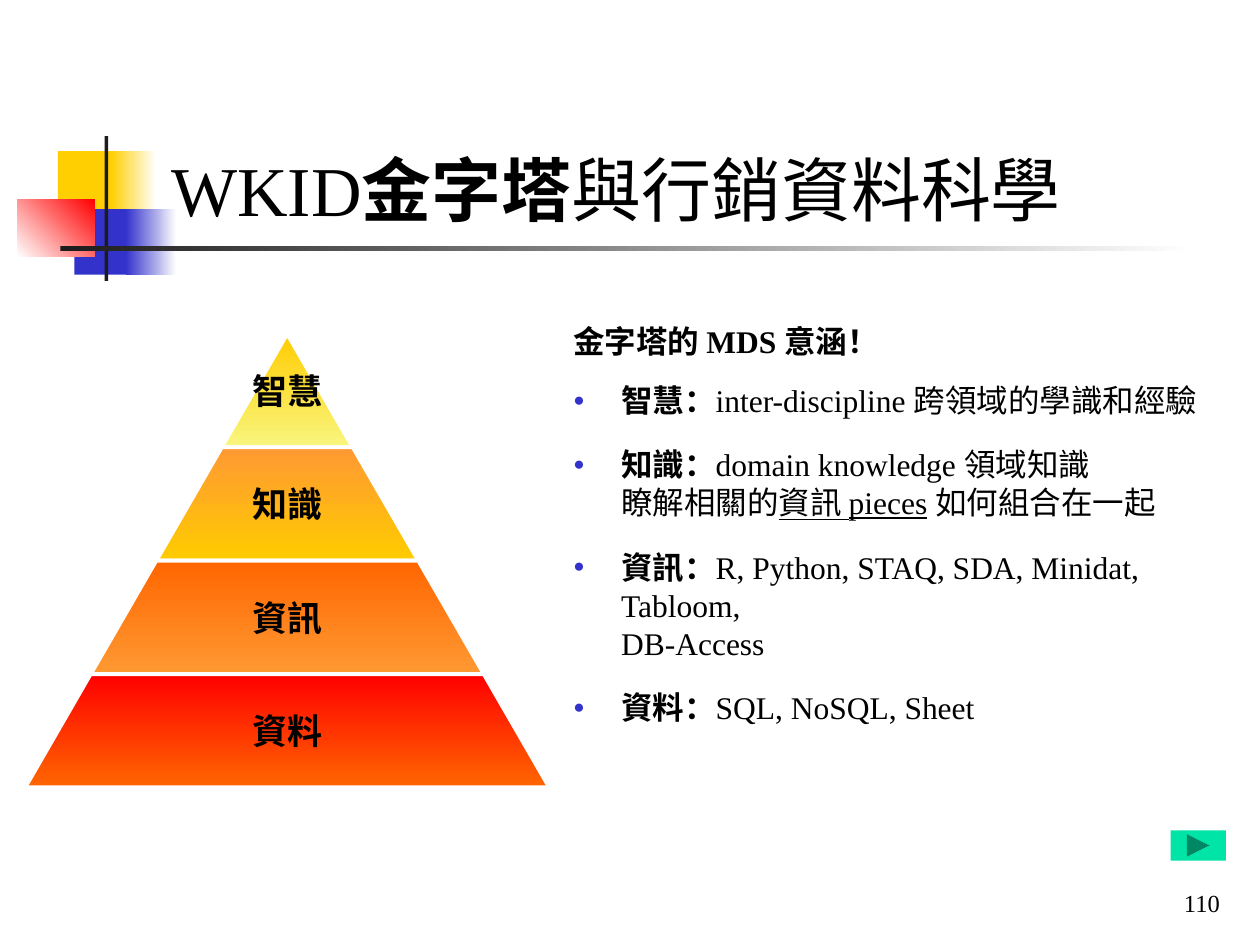
from lxml import etree
from pptx import Presentation
from pptx.dml.color import RGBColor
from pptx.enum.shapes import MSO_SHAPE as SHAPE
from pptx.enum.text import MSO_ANCHOR as ANCHOR, MSO_AUTO_SIZE as AUTO, PP_ALIGN as ALIGN
from pptx.oxml.ns import qn
from pptx.util import Inches, Pt

BLACK = RGBColor(0x00, 0x00, 0x00)
WHITE = RGBColor(0xFF, 0xFF, 0xFF)
GOLD = RGBColor(0xFF, 0xCF, 0x01)
BLUE = RGBColor(0x33, 0x33, 0xCC)
RED = RGBColor(0xFF, 0x00, 0x00)
DARK = RGBColor(0x1C, 0x1C, 0x1C)
GREEN = RGBColor(0x00, 0xE4, 0xA8)
LEMON = RGBColor(0xF9, 0xF6, 0x7F)
AMBER = RGBColor(0xFF, 0xCC, 0x00)
LIGHT_ORANGE = RGBColor(0xFF, 0x99, 0x33)
ORANGE = RGBColor(0xFF, 0x66, 0x00)
SERIF = "Times New Roman"
CJK = "Noto Sans CJK SC"


def add_text(p, text, size, bold=False, underline=None, font=SERIF):
    for i, line in enumerate(text.split("\n")):
        if i:
            p.add_line_break()
        r = p.add_run()
        r.text = line
        r.font.size = Pt(size)
        r.font.bold = bold
        r.font.underline = underline
        r.font.color.rgb = BLACK
        r.font.name = font
        etree.SubElement(r.font._element, qn("a:ea"), typeface=CJK)


def paint(sp, colors, angle=0):
    sp.shadow.inherit = False
    if len(colors) == 1:
        sp.fill.solid()
        sp.fill.fore_color.rgb = colors[0]
    else:
        sp.fill.gradient()
        sp.fill.gradient_angle = angle
        for stop, color in zip(sp.fill.gradient_stops, colors):
            stop.color.rgb = color
    sp.line.fill.background()


prs = Presentation()
prs.slide_width, prs.slide_height = Inches(10), Inches(7.5)
s = prs.slides.add_slide(prs.slide_layouts[1])

decor = [
    (SHAPE.RECTANGLE, 0.46, 1.2, 0.48, 0.52, [GOLD], 0),
    (SHAPE.RECTANGLE, 0.88, 1.2, 0.36, 0.52, [GOLD, WHITE], 0),
    (SHAPE.RECTANGLE, 0.59, 1.66, 0.46, 0.52, [BLUE], 0),
    (SHAPE.RECTANGLE, 1, 1.66, 0.4, 0.52, [BLUE, WHITE], 0),
    (SHAPE.RECTANGLE, 0.14, 1.58, 0.61, 0.46, [WHITE, RED], 45),
    (SHAPE.RECTANGLE, 0.83, 1.08, 0.03, 1.15, [DARK], 0),
    (SHAPE.RECTANGLE, 0.48, 1.95, 9, 0.04, [DARK, WHITE], 0),
    (SHAPE.ACTION_BUTTON_FORWARD_OR_NEXT, 9.29, 6.59, 0.44, 0.24, [GREEN], 0),
]
for kind, x, y, w, h, colors, angle in decor:
    sp = s.shapes.add_shape(kind, Inches(x), Inches(y), Inches(w), Inches(h))
    paint(sp, colors, angle)

title = s.shapes.title
title.left, title.top = Inches(1.26), Inches(0.23)
title.width, title.height = Inches(8.52), Inches(1.6)
tf = title.text_frame
tf.auto_size = AUTO.NONE
tf.vertical_anchor = ANCHOR.BOTTOM
tf.margin_bottom = 0
p = tf.paragraphs[0]
p.alignment = ALIGN.LEFT
add_text(p, "WKID", 40)
add_text(p, "金字塔", 40, bold=True)
add_text(p, "與行銷資料科學", 40)

center, apex, step, half_step = 2.28, 2.65, 0.9, 0.52
levels = [
    ("智慧", LEMON, AMBER),
    ("知識", AMBER, LIGHT_ORANGE),
    ("資訊", LIGHT_ORANGE, ORANGE),
    ("資料", ORANGE, RED),
]
for i, (label, bottom_color, top_color) in enumerate(levels):
    top, bottom = apex + i * step, apex + (i + 1) * step
    narrow, wide = i * half_step, (i + 1) * half_step
    corners = [(center - wide, bottom), (center - narrow, top),
               (center + narrow, top), (center + wide, bottom)]
    points = [(Inches(x), Inches(y)) for x, y in corners]
    fb = s.shapes.build_freeform(*points[0])
    fb.add_line_segments(points[1:])
    sp = fb.convert_to_shape()
    paint(sp, [bottom_color, top_color], 90)
    sp.line.color.rgb = WHITE
    sp.line.width = Pt(2.25)
    tf = sp.text_frame
    tf.margin_left = tf.margin_right = tf.margin_top = tf.margin_bottom = 0
    tf.word_wrap = False
    tf.vertical_anchor = ANCHOR.MIDDLE
    tf.paragraphs[0].alignment = ALIGN.CENTER
    add_text(tf.paragraphs[0], label, 20, bold=True)

body = s.placeholders[1]
body.left, body.top = Inches(4.45), Inches(2.57)
body.width, body.height = Inches(5.47), Inches(4.02)
tf = body.text_frame
tf.auto_size = AUTO.NONE
p = tf.paragraphs[0]
p.line_spacing = Pt(17)
p.space_before = Pt(0)
pPr = p._p.get_or_add_pPr()
pPr.set("marL", "0")
pPr.set("indent", "0")
etree.SubElement(pPr, qn("a:buNone"))
add_text(p, "金字塔", 18, bold=True, font=CJK)
add_text(p, "的 MDS 意", 18, bold=True)
add_text(p, "涵！", 18, bold=True, font=CJK)

items = [
    ("智慧：", [("inter-discipline 跨領域的學識和經驗", None)]),
    ("知識：", [("domain knowledge 領域知識\n瞭解相關的", None),
             ("資訊 pieces", True), (" 如何組合在一起", None)]),
    ("資訊：", [("R, Python, STAQ, SDA, Minidat, Tabloom,\nDB-Access", None)]),
    ("資料：", [("SQL, NoSQL, Sheet", None)]),
]
for i, (term, parts) in enumerate(items):
    p = tf.add_paragraph()
    p.line_spacing = Pt(21.7)
    p.space_before = Pt(15 if i else 12)
    pPr = p._p.get_or_add_pPr()
    pPr.set("marL", str(Inches(0.38)))
    pPr.set("indent", str(-Inches(0.38)))
    color = etree.SubElement(pPr, qn("a:buClr"))
    etree.SubElement(color, qn("a:srgbClr"), val=str(BLUE))
    etree.SubElement(pPr, qn("a:buSzPct"), val="60000")
    etree.SubElement(pPr, qn("a:buChar"), char="●")
    add_text(p, term, 18, bold=True, font=CJK)
    for text, underline in parts:
        add_text(p, text, 18, underline=underline)

number = s.shapes.add_textbox(Inches(7.7), Inches(6.83), Inches(2.08), Inches(0.5))
tf = number.text_frame
tf.word_wrap = True
tf.vertical_anchor = ANCHOR.BOTTOM
tf.paragraphs[0].alignment = ALIGN.RIGHT
add_text(tf.paragraphs[0], "110", 14)

prs.save("out.pptx")
